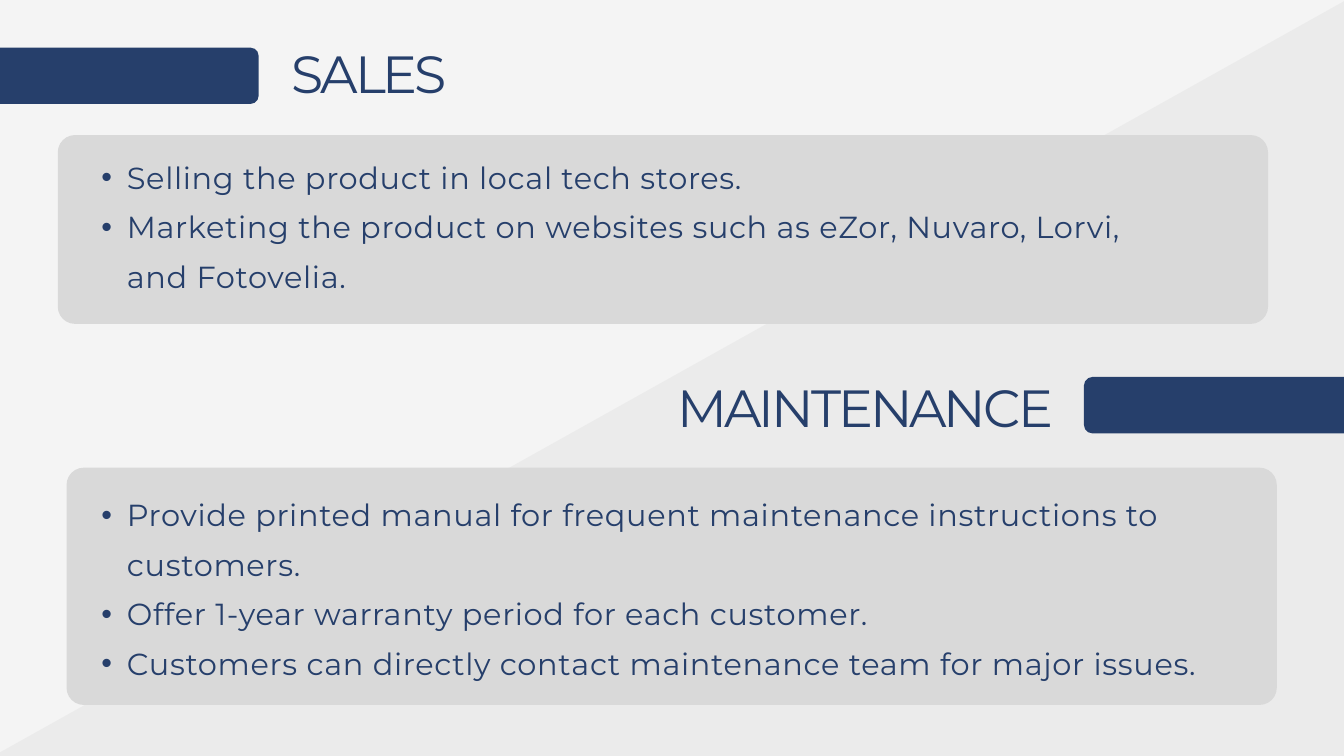
from lxml.etree import SubElement
from pptx import Presentation
from pptx.dml.color import RGBColor
from pptx.enum.shapes import MSO_SHAPE as Shape
from pptx.enum.text import MSO_ANCHOR as Anchor, PP_ALIGN as Align
from pptx.oxml.ns import qn
from pptx.util import Pt

NAVY = RGBColor(0x26, 0x3F, 0x6B)
PANEL_GRAY = RGBColor(0xD9, 0xD9, 0xD9)
BACKGROUND = RGBColor(0xF4, 0xF4, 0xF4)
SHADE = RGBColor(0x54, 0x54, 0x54)
FONT = "Montserrat"
PANEL_WIDTH, PANEL_RADIUS = 1296.7, 18.5
BAR_WIDTH, BAR_HEIGHT, BAR_RADIUS = 298.1, 60.4, 9
LIST_LEFT = 80.6

SALES = [
    "Selling the product in local tech stores.",
    "Marketing the product on websites such as eZor, Nuvaro, Lorvi, and Fotovelia.",
]
MAINTENANCE = [
    "Provide printed manual for frequent maintenance instructions to customers.",
    "Offer 1-year warranty period for each customer.",
    "Customers can directly contact maintenance team for major issues.",
]


def add_block(slide, left, top, width, height, color, radius=0):
    """Add a filled rectangle, rounded when a radius is given."""
    kind = Shape.ROUNDED_RECTANGLE if radius else Shape.RECTANGLE
    shape = slide.shapes.add_shape(kind, Pt(left), Pt(top), Pt(width), Pt(height))
    if radius:
        shape.adjustments[0] = radius / min(width, height)
    shape.shadow.inherit = False
    shape.fill.solid()
    shape.fill.fore_color.rgb = color
    shape.line.fill.background()
    return shape


def add_diagonal_shade(slide):
    """Shade the lower right of the slide with a faint tilted rectangle."""
    shape = add_block(slide, -87.8, 342.7, 2030.4, 754.6, SHADE)
    shape.rotation = 330.8
    color = shape._element.spPr.find(qn("a:solidFill")).find(qn("a:srgbClr"))
    SubElement(color, qn("a:alpha"), val="5000")


def add_bullet(paragraph):
    """Give a paragraph a hanging round bullet."""
    paragraph.level = 1
    properties = paragraph._p.get_or_add_pPr()
    properties.set("marL", str(Pt(55.4)))
    properties.set("indent", str(Pt(-27.4)))
    SubElement(properties, qn("a:buFont"), typeface="Arial")
    SubElement(properties, qn("a:buChar"), char="•")


def add_text(slide, lines, left, top, width, height, *, size, leading,
             tracking, align=Align.LEFT, bullets=False):
    """Add a text box with one paragraph per line."""
    box = slide.shapes.add_textbox(Pt(left), Pt(top), Pt(width), Pt(height))
    frame = box.text_frame
    frame.word_wrap = True
    frame.vertical_anchor = Anchor.TOP
    frame.margin_left = frame.margin_right = 0
    frame.margin_top = frame.margin_bottom = 0
    for index, line in enumerate(lines):
        paragraph = frame.add_paragraph() if index else frame.paragraphs[0]
        if bullets:
            add_bullet(paragraph)
        paragraph.alignment = align
        paragraph.line_spacing = Pt(leading)
        run = paragraph.add_run()
        run.text = line
        run.font.name = FONT
        run.font.size = Pt(size)
        run.font.color.rgb = NAVY
        run._r.get_or_add_rPr().set("spc", str(round(tracking * 100)))


def add_heading(slide, title, left, top, bar_left, bar_top):
    """Add a section title and the bar that runs off the slide edge."""
    add_block(slide, bar_left, bar_top, BAR_WIDTH, BAR_HEIGHT, NAVY, BAR_RADIUS)
    add_text(slide, [title], left, top, 467.3, 57.6, size=56, leading=54.9,
             tracking=-3.3, align=Align.CENTER)


def add_panel(slide, items, left, top, height, list_top, list_width):
    """Add a rounded panel with a bulleted list on it."""
    add_block(slide, left, top, PANEL_WIDTH, height, PANEL_GRAY, PANEL_RADIUS)
    add_text(slide, items, LIST_LEFT, list_top, list_width, height, size=32.6,
             leading=53.1, tracking=0.7, bullets=True)


def main():
    """Build the sales and maintenance slide."""
    presentation = Presentation()
    presentation.slide_width, presentation.slide_height = Pt(1440), Pt(810)
    slide = presentation.slides.add_slide(presentation.slide_layouts[6])
    slide.background.fill.solid()
    slide.background.fill.fore_color.rgb = BACKGROUND
    add_diagonal_shade(slide)
    add_heading(slide, "SALES", 162, 56.9, -20.9, 51)
    add_panel(slide, SALES, 61.9, 144.7, 202.3, 156.2, 1180)
    add_heading(slide, "MAINTENANCE", 693.4, 414, 1161.4, 403.9)
    add_panel(slide, MAINTENANCE, 71.3, 501.1, 254.2, 517.7, 1278)
    presentation.save("out.pptx")


if __name__ == "__main__":
    main()
